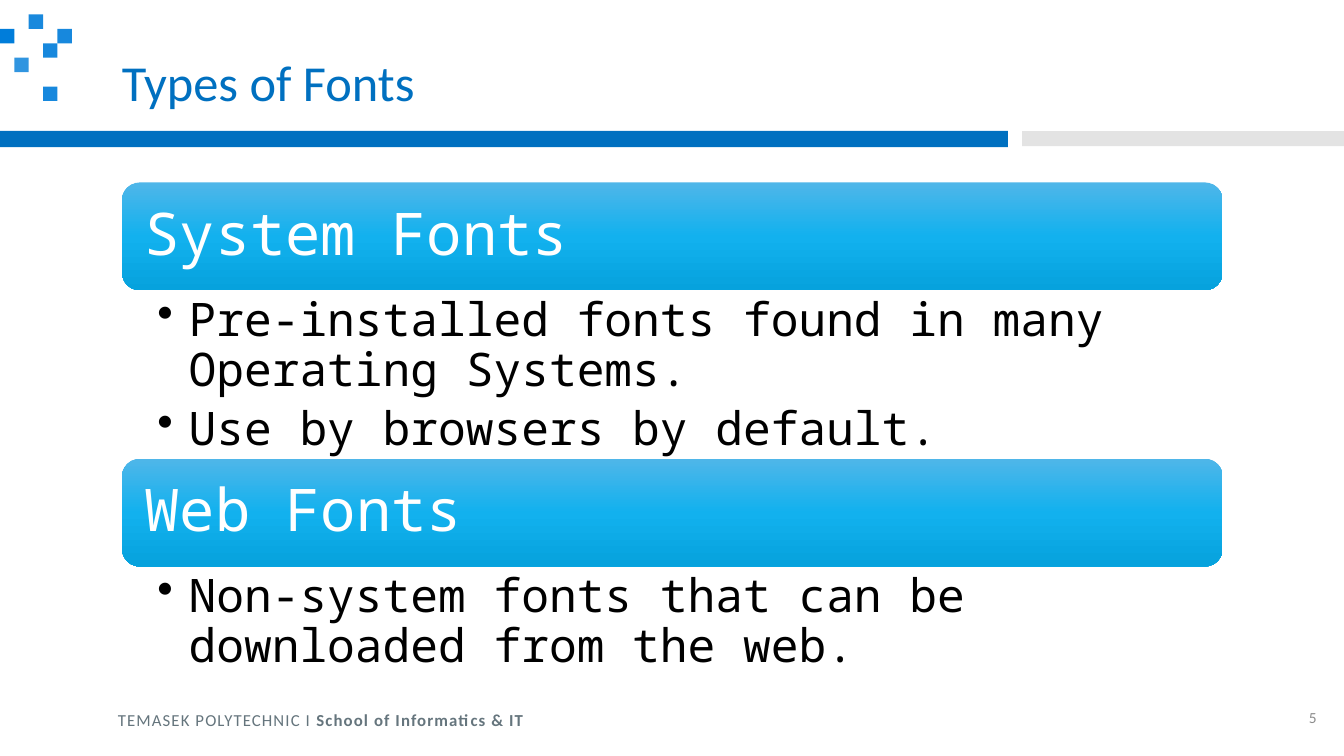
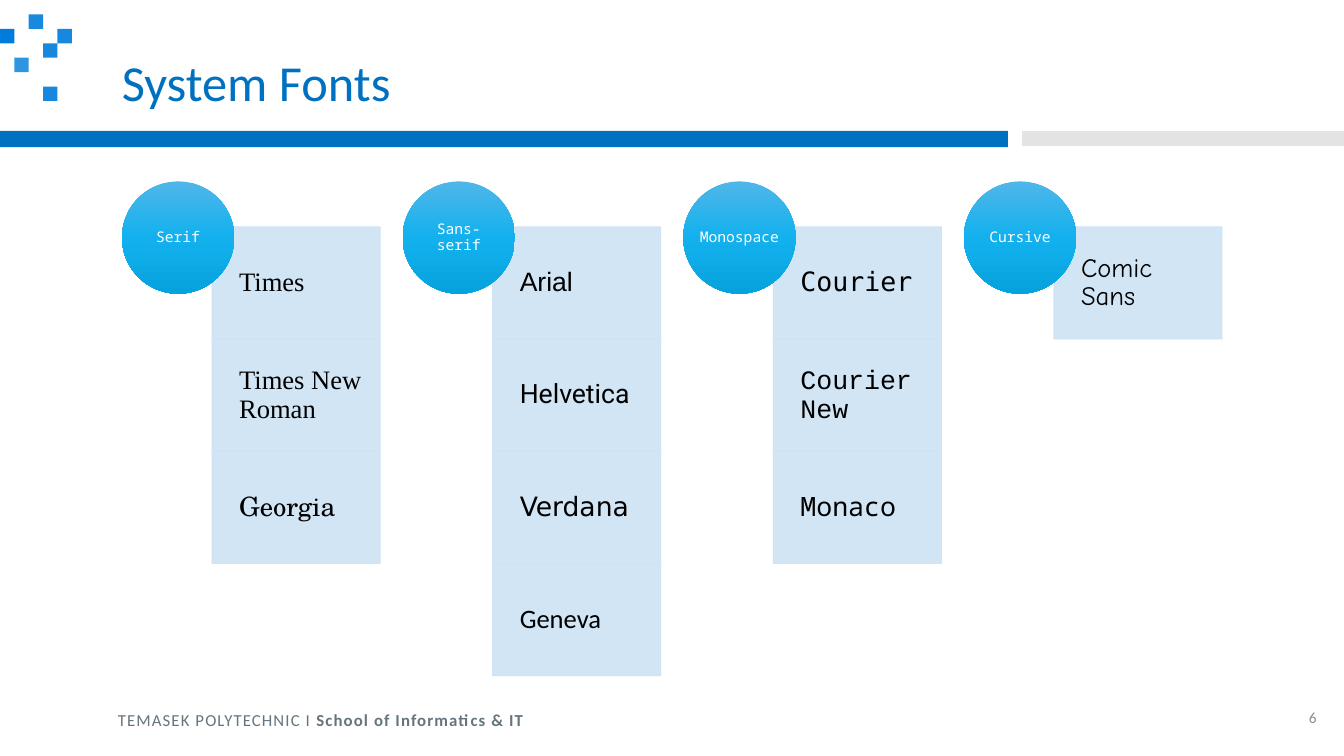
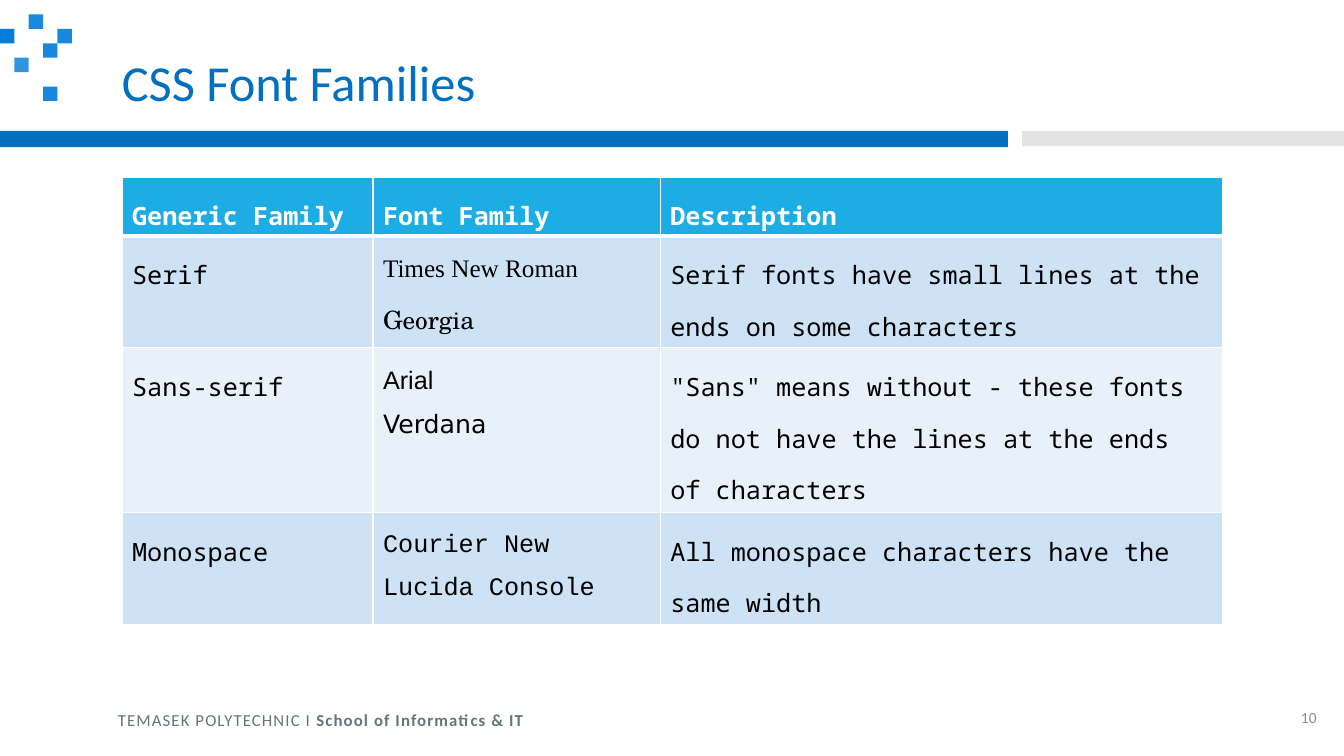
from copy import deepcopy

from lxml.etree import SubElement
from pptx import Presentation
from pptx.dml.color import RGBColor
from pptx.enum.shapes import MSO_SHAPE
from pptx.enum.text import MSO_ANCHOR, PP_ALIGN
from pptx.oxml.ns import qn
from pptx.util import Inches, Pt

# Colours and fonts
BLUE, GREY, SQUARE_BLUE = "0070C0", "C8C8C8", "007DDA"
FOOTER_GREY, NUMBER_GREY = "65757D", "8C8C8C"
BLACK, WHITE = "000000", "FFFFFF"
GLOSS = [(0, "4FB6E9"), (0.5, "12B1EE"), (1, "06A2DD")]
HEADER_BLUE, PALE_BLUE, PALER_BLUE = "1CADE4", "CDE3F5", "E8F1FA"
SANS, MONO = "Calibri", "Noto Sans Mono"
TIMES, SCHOLA, DEJAVU = "Times New Roman", "TeX Gyre Schola", "DejaVu Sans"

# Body area, in percent of the slide's width
LEFT, WIDTH = 9.08, 81.9


def rgb(value):
    return RGBColor.from_string(value)


def set_alpha(element, percent):
    for color in element.iter(qn("a:srgbClr")):
        SubElement(color, qn("a:alpha"), val=str(percent * 1000))


def write(frame, paragraphs, size=18, font=SANS, color=BLACK, bold=False, align=PP_ALIGN.LEFT,
          line_spacing=None, gap=0, bullet_indent=0, tracking=0):
    """Fill a text frame; a paragraph is a string or a list of (text, overrides)."""
    for index, content in enumerate(paragraphs):
        paragraph = frame.paragraphs[0] if index == 0 else frame.add_paragraph()
        if bullet_indent:
            properties = paragraph._p.get_or_add_pPr()
            properties.set("marL", str(bullet_indent))
            properties.set("indent", str(-bullet_indent))
            SubElement(properties, qn("a:buChar"), char="•")
        paragraph.alignment = align
        if line_spacing:
            paragraph.line_spacing = line_spacing
        if gap and index:
            paragraph.space_before = Pt(gap)
        for text, own in [(content, {})] if isinstance(content, str) else content:
            run = paragraph.add_run()
            run.text = text
            run.font.size = Pt(size)
            run.font.name = own.get("font", font)
            run.font.bold = own.get("bold", bold)
            run.font.color.rgb = rgb(color)
            if tracking:
                run._r.get_or_add_rPr().set("spc", str(tracking))


class Deck:
    """Shared style and the current slide; lengths are percent of its size."""

    SQUARES = [(2, 1, 90), (1, 4, 81), (0, 2, 100), (4, 2, 91), (3, 3, 91), (3, 6, 91)]
    SQUARE_SIZE = (1.07, 1.91)

    def __init__(self):
        self.presentation = Presentation()
        self.presentation.slide_width = Inches(13.33)
        self.presentation.slide_height = Inches(7.5)
        self.slide = None

    def across(self, share):
        return round(self.presentation.slide_width * share / 100)

    def down(self, share):
        return round(self.presentation.slide_height * share / 100)

    def place(self, x, y, w, h):
        return self.across(x), self.down(y), self.across(w), self.down(h)

    def new_slide(self, title, number):
        self.slide = self.presentation.slides.add_slide(self.presentation.slide_layouts[6])
        # Bands
        self.shape((0, 17.33, 75, 2.13), BLUE)
        self.shape((76.05, 17.33, 23.95, 2), GREY, alpha=50)
        # Scattered squares
        w, h = self.SQUARE_SIZE
        for column, row, alpha in self.SQUARES:
            self.shape((column * w, row * h, w, h), SQUARE_BLUE, alpha=alpha)
        # Title, footer and number
        self.text((8.33, 5.33, 84.77, 12), [title], anchor=MSO_ANCHOR.MIDDLE,
                  size=36, color=BLUE, line_spacing=0.9)
        self.text((8.03, 93.2, 86.87, 4),
                  [[("TEMASEK POLYTECHNIC I ", {}), ("School of Informatics & IT", {"bold": True})]],
                  size=12, color=FOOTER_GREY, tracking=80)
        self.text((94.87, 92.67, 3.83, 4.53), [str(number)], anchor=MSO_ANCHOR.MIDDLE,
                  size=11, color=NUMBER_GREY, align=PP_ALIGN.RIGHT)

    def frame(self, shape, insets, anchor):
        frame = shape.text_frame
        frame.word_wrap = True
        frame.vertical_anchor = anchor
        if insets:
            (frame.margin_left, frame.margin_top,
             frame.margin_right, frame.margin_bottom) = map(self.across, insets)
        return frame

    def text(self, box, paragraphs, insets=None, anchor=MSO_ANCHOR.TOP, **style):
        holder = self.slide.shapes.add_textbox(*self.place(*box))
        write(self.frame(holder, insets, anchor), paragraphs, **style)

    def shape(self, box, fill, kind=MSO_SHAPE.RECTANGLE, alpha=100, line=None,
              label=None, insets=None, **style):
        shape = self.slide.shapes.add_shape(kind, *self.place(*box))
        shape.shadow.inherit = False
        if isinstance(fill, str):
            shape.fill.solid()
            shape.fill.fore_color.rgb = rgb(fill)
        else:
            self.gradient(shape, fill)
        if line:
            shape.line.color.rgb = rgb(line)
            shape.line.width = Pt(0.5)
        else:
            shape.line.fill.background()
        if alpha < 100:
            set_alpha(shape._element.spPr, alpha)
        if label:
            write(self.frame(shape, insets, MSO_ANCHOR.MIDDLE), [label], line_spacing=0.9, **style)

    def gradient(self, shape, stops):
        shape.fill.gradient()
        shape.fill.gradient_angle = 270
        stop_list = shape._element.spPr.find(".//" + qn("a:gsLst"))
        while len(stop_list) < len(stops):
            stop_list.append(deepcopy(stop_list[0]))
        for stop, (position, color) in zip(shape.fill.gradient_stops, stops):
            stop.position = position
            stop.color.rgb = rgb(color)

    def table(self, box, columns, heights, rows):
        table = self.slide.shapes.add_table(len(rows), len(columns), *self.place(*box)).table
        table.horz_banding = False
        for column, width in zip(table.columns, columns):
            column.width = self.across(width)
        for r, (height, row) in enumerate(zip(heights, rows)):
            table.rows[r].height = self.down(height)
            header = r == 0
            for c, paragraphs in enumerate(row):
                cell = table.cell(r, c)
                cell.fill.solid()
                cell.fill.fore_color.rgb = rgb(
                    HEADER_BLUE if header else PALE_BLUE if r % 2 else PALER_BLUE)
                self.borders(cell, top=3 if r == 1 else 1, bottom=3 if header else 1)
                write(cell.text_frame, paragraphs, font=MONO, line_spacing=1.5,
                      bold=header, color=WHITE if header else BLACK)

    def borders(self, cell, top, bottom):
        properties = cell._tc.get_or_add_tcPr()
        for index, (side, width) in enumerate([("L", 1), ("R", 1), ("T", top), ("B", bottom)]):
            edge = SubElement(properties, qn("a:ln" + side), w=str(Pt(width)))
            SubElement(SubElement(edge, qn("a:solidFill")), qn("a:srgbClr"), val=WHITE)
            properties.insert(index, edge)


def types_of_fonts(deck):
    deck.new_slide("Types of Fonts", 5)
    bar_height = 14.27
    sections = [
        (24.13, 22.13, "System Fonts", ["Pre-installed fonts found in many Operating Systems.",
                                        "Use by browsers by default."]),
        (60.67, 14.27, "Web Fonts", ["Non-system fonts that can be downloaded from the web."]),
    ]
    for top, height, heading, points in sections:
        deck.shape((LEFT, top, WIDTH, bar_height), GLOSS, kind=MSO_SHAPE.ROUNDED_RECTANGLE,
                   label=heading, insets=[1.28] * 4, size=42, font=MONO, color=WHITE)
        deck.text((LEFT, top + bar_height, WIDTH, height), points,
                  insets=(2.63, 0.45, 2.48, 0.45), size=33, font=MONO,
                  line_spacing=0.9, gap=7, bullet_indent=deck.across(2.33))


def system_fonts(deck):
    deck.new_slide("System Fonts", 6)
    families = [
        ("Serif", [("Times", TIMES), ("Times New Roman", TIMES), ("Georgia", SCHOLA)]),
        ("Sans-serif", [("Arial", "Arial"), ("Helvetica", "Roboto"),
                        ("Verdana", DEJAVU), ("Geneva", SANS)]),
        ("Monospace", [("Courier", "DejaVu Sans Mono"), ("Courier New", "Courier New"),
                       ("Monaco", MONO)]),
        ("Cursive", [("Comic Sans", "Comic Neue")]),
    ]
    pitch, row_height = 20.88, 14.85
    for column, (family, samples) in enumerate(families):
        x = LEFT + column * pitch
        for row, (name, font) in enumerate(samples):
            deck.shape((x + 6.69, 30 + row * row_height, 12.53, row_height), PALE_BLUE,
                       alpha=90, line=PALE_BLUE, label=name,
                       insets=(2.03, 1.13, 1.13, 1.13), size=19, font=font)
        deck.shape((x, 24, 8.35, row_height), GLOSS, kind=MSO_SHAPE.OVAL, label=family,
                   insets=[0] * 4, size=10.5, font=MONO, color=WHITE, align=PP_ALIGN.CENTER)


def css_font_families(deck):
    deck.new_slide("CSS Font Families", 10)

    def samples(*names):
        return [[(name, {"font": font})] for name, font in names]

    rows = [
        [["Generic Family"], ["Font Family"], ["Description"]],
        [["Serif"], samples(("Times New Roman", TIMES), ("Georgia", SCHOLA)),
         ["Serif fonts have small lines at the ends on some characters"]],
        [["Sans-serif"], samples(("Arial", "Arial"), ("Verdana", DEJAVU)),
         ['"Sans" means without - these fonts do not have the lines at the ends of characters']],
        [["Monospace"], samples(("Courier New", "Courier New"), ("Lucida Console", "Courier New")),
         ["All monospace characters have the same width"]],
    ]
    deck.table((LEFT, 23.4, WIDTH, 59.2), (18.67, 21.38, 41.85), (7.8, 14.8, 21.8, 14.8), rows)


def main():
    deck = Deck()
    for build in (types_of_fonts, system_fonts, css_font_families):
        build(deck)
    deck.presentation.save("out.pptx")


if __name__ == "__main__":
    main()
